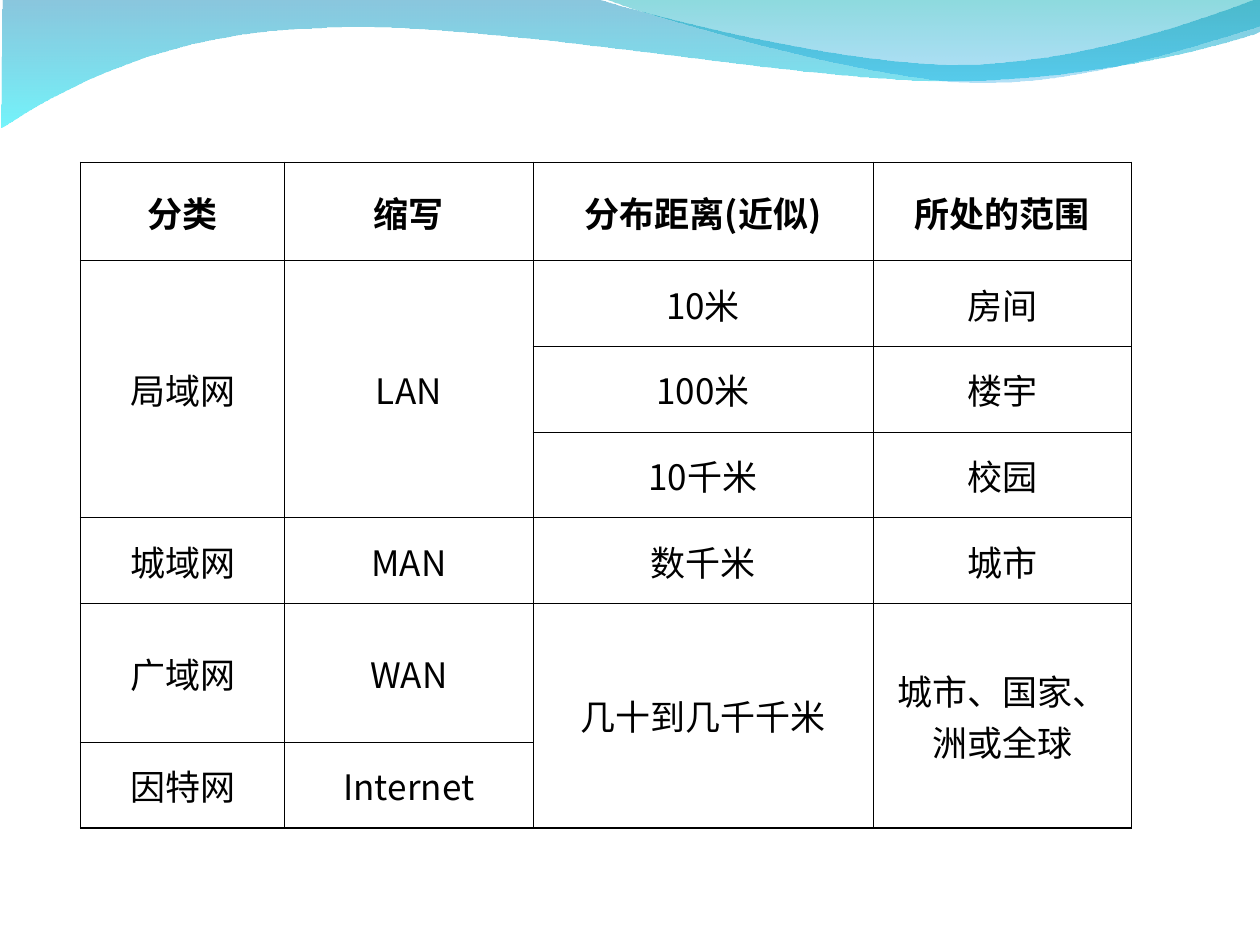
from lxml import etree
from pptx import Presentation
from pptx.dml.color import RGBColor
from pptx.enum.text import MSO_ANCHOR, PP_ALIGN
from pptx.oxml.ns import qn
from pptx.util import Inches, Pt

CENTER = PP_ALIGN.CENTER
MIDDLE = MSO_ANCHOR.MIDDLE
FONT = "Noto Sans CJK SC"
COLORS = {
    "text": "000000",
    "border": "000000",
    "blue": "0079AF",
    "cyan": "00EBF8",
    "teal": "00ADB6",
    "sky": "009BE5",
}
THIN, THICK = 0.45, 1.08

LEFT_WAVE = [
    [(0.02, -0.12)],
    [(4.42, -0.13)],
    [(4.77, 0.05), (6.65, 0.51), (7.6, 0.51)],
    [(8.55, 0.51), (9.6, 0.14), (10.02, -0.03)],
    [(10.03, 0.24)],
    [(9.85, 0.32), (8.72, 0.64), (7.48, 0.64)],
    [(6.24, 0.63), (3.84, 0.16), (2.59, 0.22)],
    [(1.31, 0.24), (0.48, 0.71), (0.01, 1.01)],
]
RIGHT_WAVE = [
    [(4.79, -0.01)],
    [(5.09, 0.11), (6.82, 0.62), (7.69, 0.65)],
    [(8.56, 0.69), (9.61, 0.32), (10, 0.21)],
    [(10, 0)],
]

COL_WIDTHS = [1.62, 1.97, 2.7, 2.05]
ROW_HEIGHTS = [0.78, 0.68, 0.68, 0.68, 0.68, 1.1, 0.68]
ROWS = [
    ["分类", "缩写", "分布距离(近似)", "所处的范围"],
    ["局域网", "LAN", "10米", "房间"],
    [None, None, "100米", "楼宇"],
    [None, None, "10千米", "校园"],
    ["城域网", "MAN", "数千米", "城市"],
    ["广域网", "WAN", "几十到几千千米", "城市、国家、洲或全球"],
    ["因特网", "Internet", None, None],
]
MERGES = [(1, 0, 3), (1, 1, 3), (5, 2, 6), (5, 3, 6)]


def bend_segments(sp, segments):
    lines = list(sp.element.spPr.iter(qn("a:lnTo")))
    for line, seg in zip(lines, segments[1:]):
        if len(seg) == 3:
            curve = etree.Element(qn("a:cubicBezTo"))
            for x, y in seg:
                etree.SubElement(curve, qn("a:pt"),
                                 x=str(Inches(x) - sp.left),
                                 y=str(Inches(y) - sp.top))
            line.getparent().replace(line, curve)


def add_wave(s, segments, stops):
    anchors = [(Inches(x), Inches(y)) for x, y in (seg[-1] for seg in segments)]
    builder = s.shapes.build_freeform(*anchors[0])
    builder.add_line_segments(anchors[1:], close=True)
    sp = builder.convert_to_shape()
    bend_segments(sp, segments)
    sp.shadow.inherit = False
    sp.line.fill.background()
    sp.fill.gradient()
    sp.fill.gradient_angle = 270
    for stop, position, (color, _) in zip(sp.fill.gradient_stops, (0, 1), stops):
        stop.position = position
        stop.color.rgb = RGBColor.from_string(COLORS[color])
    for clr, (_, opacity) in zip(sp.element.spPr.iter(qn("a:srgbClr")), stops):
        etree.SubElement(clr, qn("a:alpha"), val=str(opacity * 1000))


def set_borders(cell, widths):
    tc_pr = cell._tc.get_or_add_tcPr()
    for side, width in widths.items():
        ln = etree.SubElement(tc_pr, qn("a:ln" + side), w=str(Pt(width)))
        fill = etree.SubElement(ln, qn("a:solidFill"))
        etree.SubElement(fill, qn("a:srgbClr"), val=COLORS["border"])


def set_text(cell, text, bold):
    cell.vertical_anchor = MIDDLE
    p = cell.text_frame.paragraphs[0]
    p.text = text
    p.alignment = CENTER
    p.space_before = Pt(5)
    r = p.runs[0]
    r.font.size = Pt(20)
    r.font.bold = bold
    r.font.name = FONT
    r.font.color.rgb = RGBColor.from_string(COLORS["text"])
    etree.SubElement(r.font._element, qn("a:ea"), typeface=FONT)


def add_network_table(s):
    n_rows, n_cols = len(ROWS), len(COL_WIDTHS)
    table = s.shapes.add_table(
        n_rows, n_cols, Inches(0.64), Inches(1.29),
        Inches(sum(COL_WIDTHS)), Inches(sum(ROW_HEIGHTS)),
    ).table
    table.first_row = False
    table.horz_banding = False
    for col, width in zip(table.columns, COL_WIDTHS):
        col.width = Inches(width)
    for row, height in zip(table.rows, ROW_HEIGHTS):
        row.height = Inches(height)
    for top, col, bottom in MERGES:
        table.cell(top, col).merge(table.cell(bottom, col))
    for i, row in enumerate(ROWS):
        for j, text in enumerate(row):
            cell = table.cell(i, j)
            if text:
                end = i + (cell.span_height if cell.is_merge_origin else 1)
                edges = {"L": j == 0, "R": j == n_cols - 1,
                         "T": i == 0, "B": end == n_rows}
                set_borders(cell, {k: THICK if outer else THIN
                                   for k, outer in edges.items()})
                set_text(cell, text, bold=i == 0)
            cell.fill.background()


def main():
    prs = Presentation()
    prs.slide_width = Inches(10)
    prs.slide_height = Inches(7.5)
    s = prs.slides.add_slide(prs.slide_layouts[6])
    add_wave(s, LEFT_WAVE, [("blue", 45), ("cyan", 55)])
    add_wave(s, RIGHT_WAVE, [("teal", 45), ("sky", 30)])
    add_network_table(s)
    prs.save("out.pptx")


if __name__ == "__main__":
    main()
